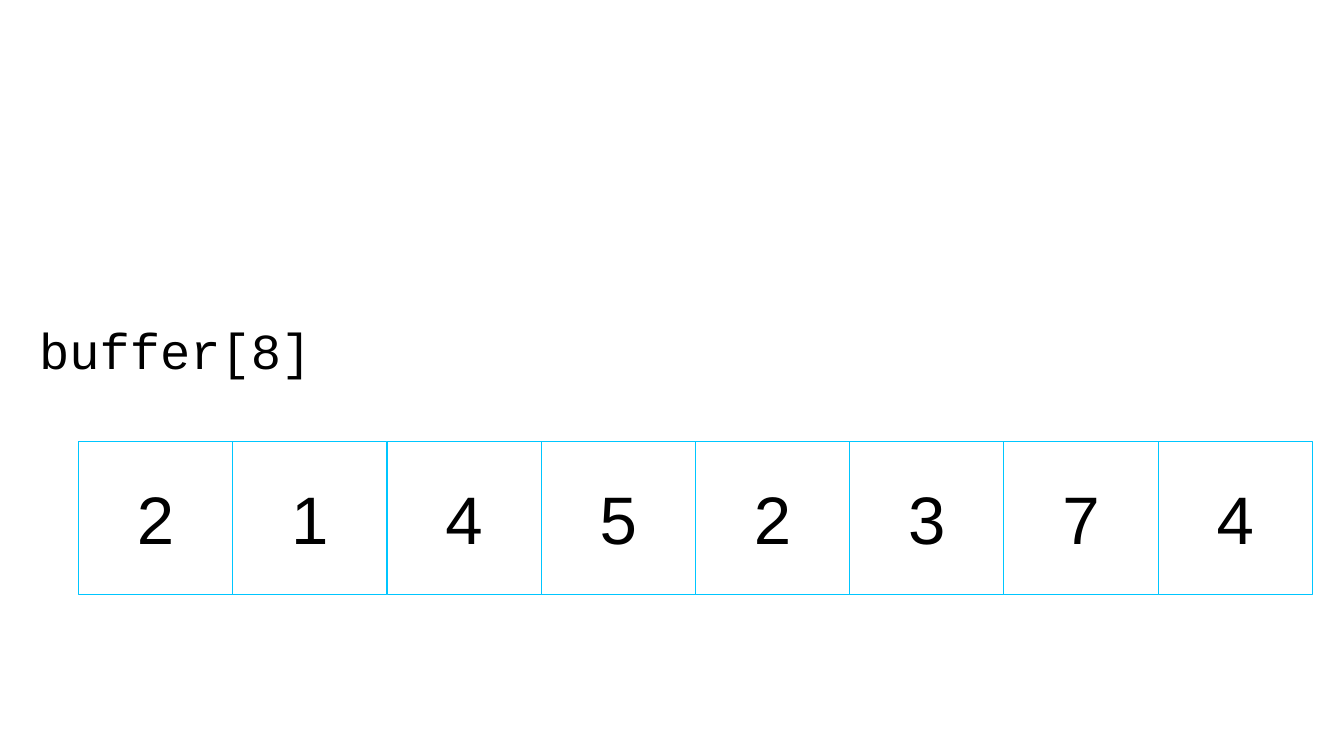
from pptx import Presentation
from pptx.dml.color import RGBColor as RGB
from pptx.enum.shapes import MSO_SHAPE as Shape
from pptx.enum.text import MSO_ANCHOR as Anchor, PP_ALIGN as Align
from pptx.util import Pt

COLORS = {"text": "000000", "cell": "FFFFFF", "border": "00C6FF"}
BUFFER = [2, 1, 4, 5, 2, 3, 7, 4]
CELL_LEFT, CELL_TOP = 56.16, 315.36
CELL_WIDTH, CELL_HEIGHT = 110.16, 109.44


class SlideBuilder:
    def __init__(self, slide):
        self.s = slide

    def color(self, name):
        return RGB.from_string(COLORS[name])

    def set_text(self, tf, text, font, size):
        p = tf.paragraphs[0]
        p.text = text
        p.font.name = font
        p.font.size = Pt(size)
        p.font.color.rgb = self.color("text")
        return p

    def label(self, text, left, top, width, height):
        sp = self.s.shapes.add_textbox(Pt(left), Pt(top), Pt(width), Pt(height))
        sp.text_frame.word_wrap = True
        self.set_text(sp.text_frame, text, "Courier New", 36)

    def cell(self, text, left, top, width, height):
        sp = self.s.shapes.add_shape(
            Shape.RECTANGLE, Pt(left), Pt(top), Pt(width), Pt(height))
        sp.shadow.inherit = False
        sp.fill.solid()
        sp.fill.fore_color.rgb = self.color("cell")
        sp.line.color.rgb = self.color("border")
        sp.line.width = Pt(0.75)
        sp.text_frame.vertical_anchor = Anchor.MIDDLE
        p = self.set_text(sp.text_frame, text, "Arial", 48)
        p.alignment = Align.CENTER


def main():
    prs = Presentation()
    prs.slide_width, prs.slide_height = Pt(960), Pt(540)
    blank = prs.slide_layouts[6]
    builder = SlideBuilder(prs.slides.add_slide(blank))
    builder.label(f"buffer[{len(BUFFER)}]", 20.88, 224.64, 210.96, 51.12)
    for i, value in enumerate(BUFFER):
        builder.cell(str(value), CELL_LEFT + i * CELL_WIDTH, CELL_TOP,
                     CELL_WIDTH, CELL_HEIGHT)
    prs.save("out.pptx")


if __name__ == "__main__":
    main()
